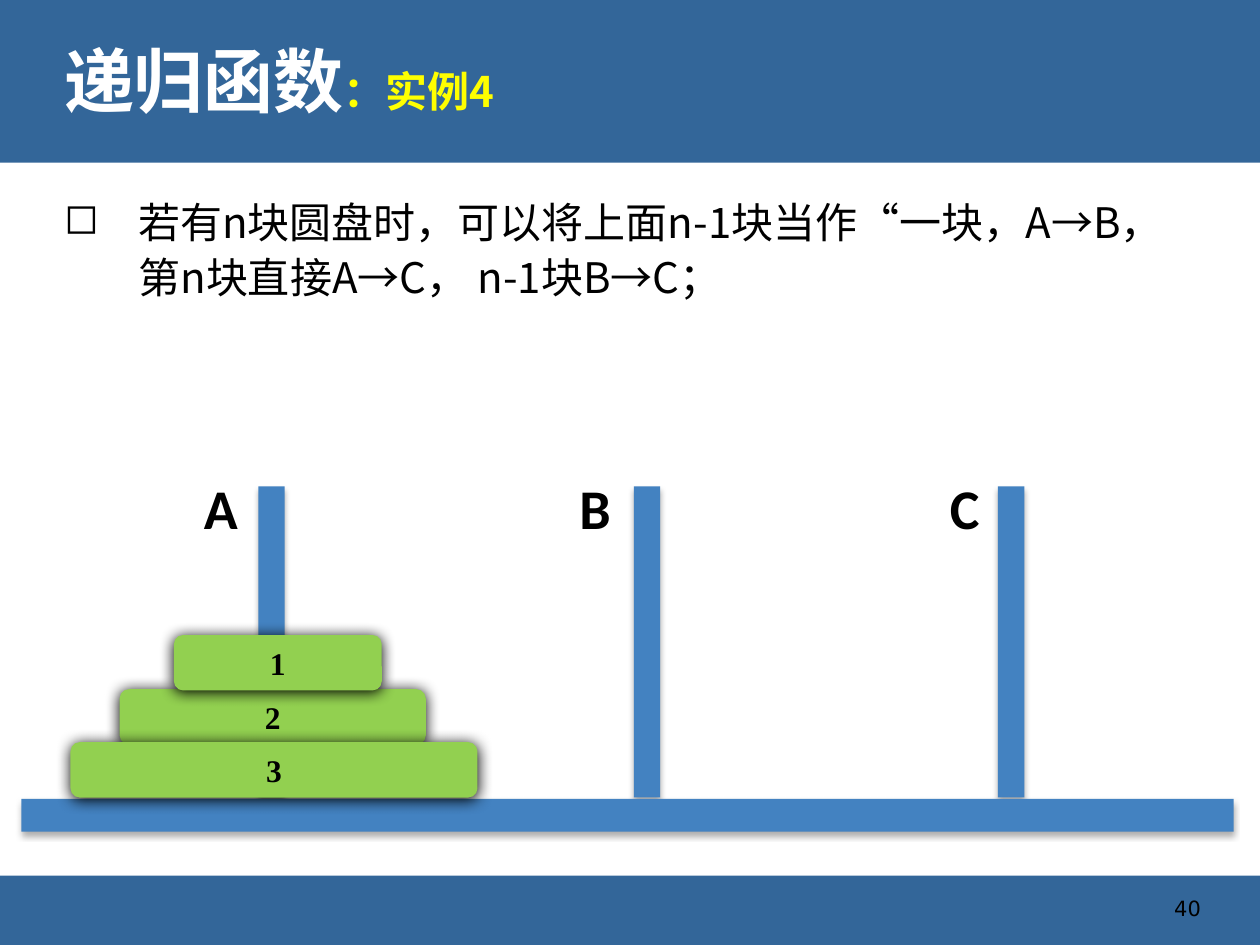
from lxml.etree import SubElement
from pptx import Presentation
from pptx.dml.color import RGBColor
from pptx.enum.shapes import MSO_SHAPE
from pptx.enum.text import MSO_ANCHOR, PP_ALIGN
from pptx.oxml.ns import qn
from pptx.util import Inches, Pt

THEME = {
    "band": "336699", "wood": "4382C1", "disk": "92D050",
    "ink": "000000", "white": "FFFFFF", "accent": "FFFF00",
    "title": 40, "body": 24, "label": 32, "number": 18, "footer": 12,
    "cjk": "Noto Sans CJK SC", "latin": "Calibri",
    "serif": "Times New Roman", "sans": "DejaVu Sans",
}


def add_block(kind, bounds, color, shadow=None):
    block = page.shapes.add_shape(kind, *map(Inches, bounds))
    block.fill.solid()
    block.fill.fore_color.rgb = RGBColor.from_string(THEME[color])
    block.line.fill.background()
    block.shadow.inherit = False
    if shadow:
        opacity, blur, distance = shadow
        effects = block._element.spPr.find(qn("a:effectLst"))
        outer = SubElement(effects, qn("a:outerShdw"), blurRad=str(Pt(blur)),
                           dist=str(Pt(distance)), dir="5400000", rotWithShape="0")
        tint = SubElement(outer, qn("a:srgbClr"), val=THEME["ink"])
        SubElement(tint, qn("a:alpha"), val=str(opacity * 1000))
    return block


def add_span(para, text, size, font, color="ink", bold=False):
    span = para.add_run()
    span.text = text
    style = {"size": Pt(THEME[size]), "name": THEME[font], "bold": bold}
    for name, value in style.items():
        setattr(span.font, name, value)
    span.font.color.rgb = RGBColor.from_string(THEME[color])
    SubElement(span.font._element, qn("a:ea"), typeface=THEME[font])


deck = Presentation()
deck.slide_width, deck.slide_height = Inches(10), Inches(7.5)
page = deck.slides.add_slide(deck.slide_layouts[6])

for top, height in [(0, 1.29), (6.95, 0.55)]:
    add_block(MSO_SHAPE.RECTANGLE, (0, top, 10, height), "band")

texts = [
    ((0.41, 0.18, 9.19, 0.99), {"word_wrap": True, "vertical_anchor": MSO_ANCHOR.MIDDLE},
     {"line_spacing": 0.9},
     [("递归函数", "title", "cjk", "white", True), ("：实例4", "body", "cjk", "accent", True)]),
    ((0.41, 1.47, 9.19, 5.28), {"word_wrap": True}, {"line_spacing": 1.1},
     [("若有n块圆盘时，可以将上面n-1块当作“一块，A→B，第n块直接A→C， n-1块B→C；",
       "body", "cjk")]),
    ((7.23, 7.01, 2.4, 0.4), {"word_wrap": True, "vertical_anchor": MSO_ANCHOR.MIDDLE},
     {"alignment": PP_ALIGN.RIGHT}, [("40", "footer", "sans")]),
]
for label, left in [("A", 1.52), ("B", 4.5), ("C", 7.44)]:
    texts.append(((left, 3.71, 0.45, 0.64), {"word_wrap": False}, {},
                  [(label, "label", "latin", "ink", True)]))

for bounds, frame_format, para_format, spans in texts:
    box = page.shapes.add_textbox(*map(Inches, bounds))
    for name, value in frame_format.items():
        setattr(box.text_frame, name, value)
    para = box.text_frame.paragraphs[0]
    for name, value in para_format.items():
        setattr(para, name, value)
    if spans[0][0].startswith("若有"):
        properties = para._p.get_or_add_pPr()
        properties.set("marL", str(Inches(0.59)))
        properties.set("indent", str(-Inches(0.59)))
        bullet_color = SubElement(properties, qn("a:buClr"))
        SubElement(bullet_color, qn("a:srgbClr"), val=THEME["ink"])
        SubElement(properties, qn("a:buChar"), char="◻")
    for span in spans:
        add_span(para, *span)

soft_shadow, deep_shadow = (32, 3.5, 2.2), (100, 8.5, 1)
for left in (2.05, 5.03, 7.92):
    add_block(MSO_SHAPE.RECTANGLE, (left, 3.86, 0.21, 2.47), "wood", soft_shadow)
add_block(MSO_SHAPE.RECTANGLE, (0.17, 6.34, 9.62, 0.26), "wood", soft_shadow)

for number, left, top, width in [("2", 0.95, 5.47, 2.43), ("1", 1.38, 5.04, 1.65),
                                 ("3", 0.56, 5.89, 3.23)]:
    disk = add_block(MSO_SHAPE.ROUNDED_RECTANGLE, (left, top, width, 0.44), "disk", deep_shadow)
    disk.text_frame.vertical_anchor = MSO_ANCHOR.MIDDLE
    para = disk.text_frame.paragraphs[0]
    para.alignment = PP_ALIGN.CENTER
    add_span(para, number, "number", "serif", bold=True)

deck.save("out.pptx")
